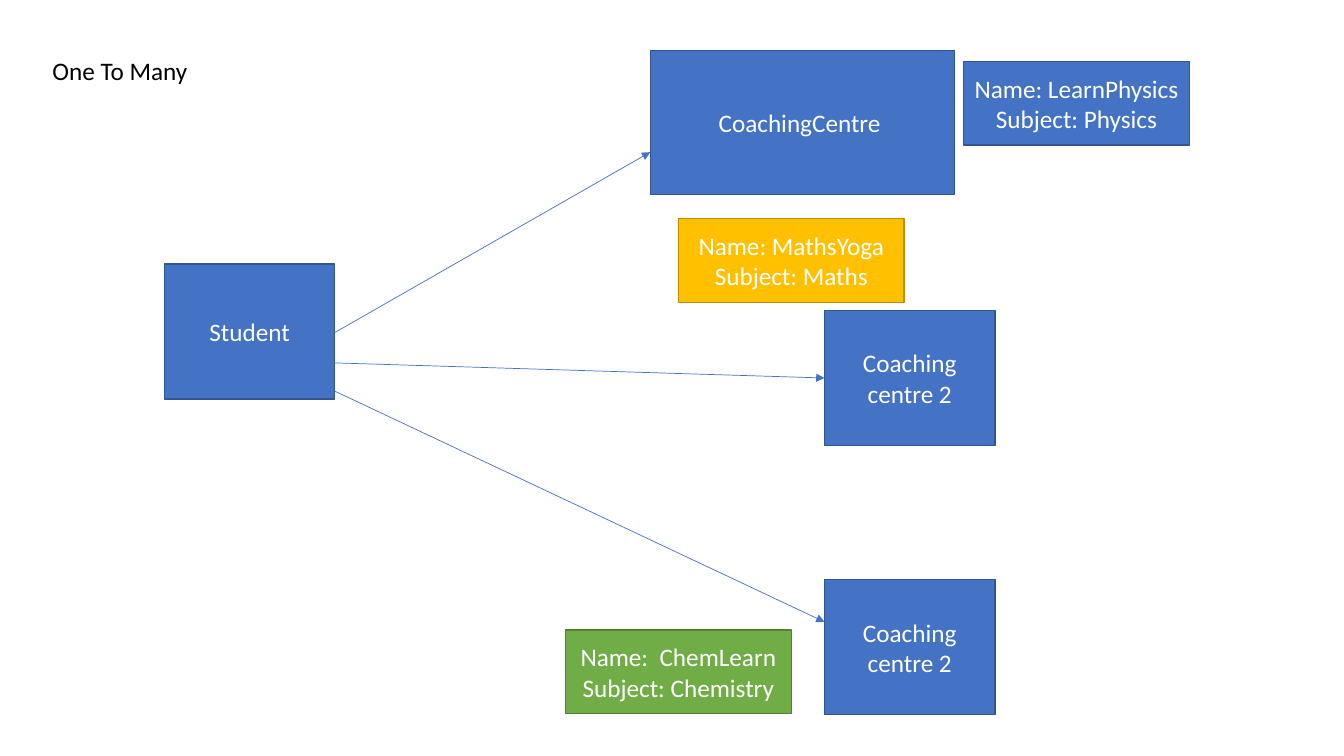
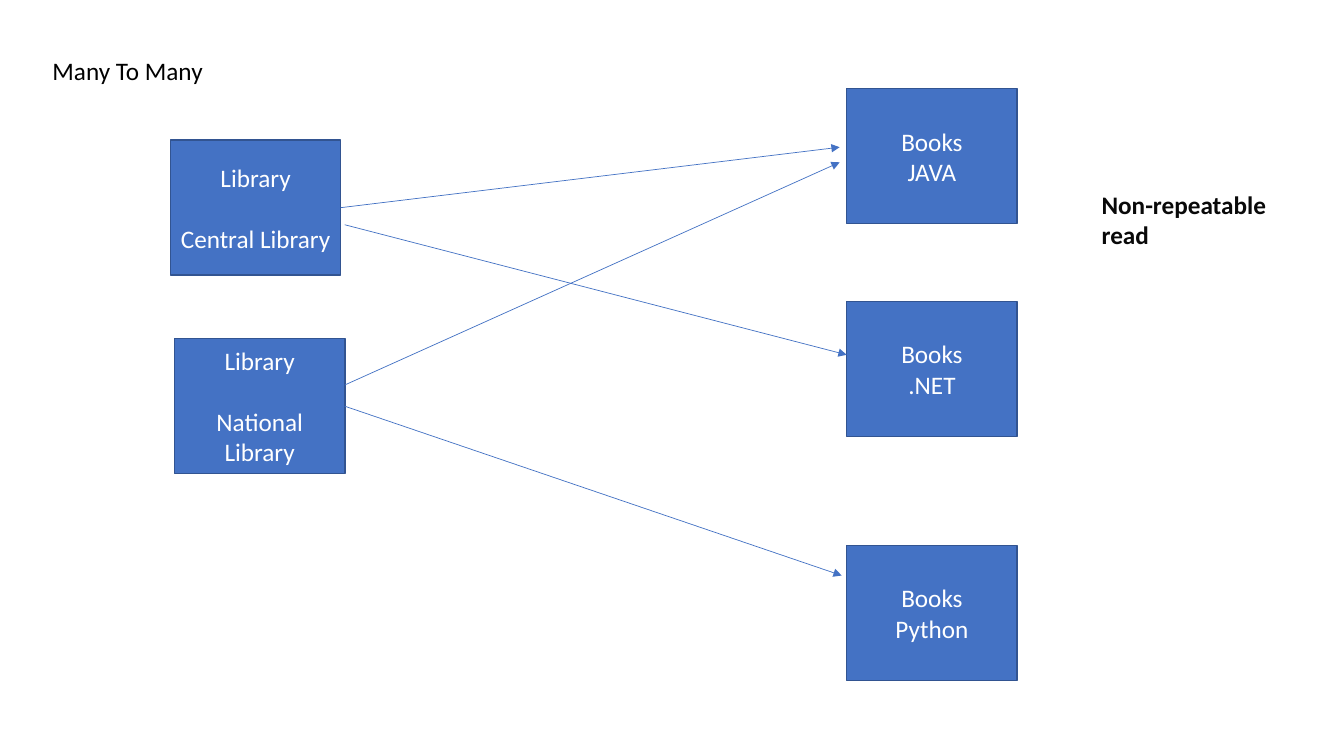
from lxml import etree
from pptx import Presentation
from pptx.dml.color import RGBColor
from pptx.enum.shapes import MSO_CONNECTOR, MSO_SHAPE
from pptx.enum.text import MSO_ANCHOR, MSO_AUTO_SIZE, PP_ALIGN
from pptx.oxml.ns import qn
from pptx.util import Inches, Pt

RECTANGLE = MSO_SHAPE.RECTANGLE
STRAIGHT = MSO_CONNECTOR.STRAIGHT
LEFT, CENTER = PP_ALIGN.LEFT, PP_ALIGN.CENTER
TOP, MIDDLE = MSO_ANCHOR.TOP, MSO_ANCHOR.MIDDLE
NO_FIT = MSO_AUTO_SIZE.NONE
TITLE_ONLY = 5

# Fill and outline of each kind of box
BLUE = ("4472C4", "325491")
GOLD = ("FFC000", "BD8E00")
GREEN = ("70AD47", "538035")

# All places and sizes are percentages of the slide's width and height
ENTITY = (12.68, 17.87)
WIDE_ENTITY = (22.65, 19.07)
TAG = (16.8, 11.07)
TITLE_PLACE, TITLE_SIZE = (3.15, 6.67), (94.6, 5.33)
LINE_GAP = 22


def color(hex_string):
    return RGBColor.from_string(hex_string)


class Diagram:
    text_format = {"name": "Calibri", "size": Pt(18), "bold": False}

    def __init__(self):
        self.deck = Presentation()
        self.deck.slide_width = Inches(13.33)
        self.deck.slide_height = Inches(7.5)
        self.page = None

    def point(self, place):
        """Turn a pair of percentages into slide lengths."""
        across, down = place
        return (round(self.deck.slide_width * across / 100),
                round(self.deck.slide_height * down / 100))

    def fill_text(self, shape, lines, ink, align=LEFT, anchor=TOP, gap=0, **changes):
        frame = shape.text_frame
        frame_format = {"word_wrap": True, "auto_size": NO_FIT, "vertical_anchor": anchor}
        for name, value in frame_format.items():
            setattr(frame, name, value)
        for index, line in enumerate(lines):
            para = frame.add_paragraph() if index else frame.paragraphs[0]
            para.alignment = align
            para.space_before = Pt(gap if index else 0)
            span = para.add_run()
            span.text = line
            for name, value in (self.text_format | changes).items():
                setattr(span.font, name, value)
            span.font.color.rgb = color(ink)

    def new_page(self, title):
        self.page = self.deck.slides.add_slide(self.deck.slide_layouts[TITLE_ONLY])
        heading = self.page.shapes.title
        heading.left, heading.top = self.point(TITLE_PLACE)
        heading.width, heading.height = self.point(TITLE_SIZE)
        self.fill_text(heading, [title], "000000")

    def box(self, place, lines, size=ENTITY, colors=BLUE, gap=0):
        fill, outline = colors
        shape = self.page.shapes.add_shape(RECTANGLE, *self.point(place), *self.point(size))
        shape.shadow.inherit = False
        shape.fill.solid()
        shape.fill.fore_color.rgb = color(fill)
        shape.line.color.rgb = color(outline)
        shape.line.width = Pt(1)
        self.fill_text(shape, lines, "FFFFFF", CENTER, MIDDLE, gap)

    def note(self, place, size, text):
        shape = self.page.shapes.add_textbox(*self.point(place), *self.point(size))
        self.fill_text(shape, [text], "090909", bold=True)

    def arrow(self, start, end):
        connector = self.page.shapes.add_connector(STRAIGHT, *self.point(start), *self.point(end))
        connector.line.color.rgb = color(BLUE[0])
        connector.line.width = Pt(0.5)
        properties = connector.element.spPr
        etree.SubElement(properties.find(qn("a:ln")), qn("a:tailEnd"), type="triangle")
        etree.SubElement(properties, qn("a:effectLst"))


def one_to_many(diagram):
    diagram.new_page("One To Many")
    student_edge, centre_left = 24.9, 61.35
    diagram.box((12.23, 34.93), ["Student"])
    diagram.box((48.38, 6.67), ["CoachingCentre "], WIDE_ENTITY)
    for top in (41.07, 76.67):
        diagram.box((centre_left, top), ["Coaching centre 2"])
    for start, end in ((44, (48.38, 20.13)),
                       (48, (centre_left, 50)),
                       (51.73, (centre_left, 82.27))):
        diagram.arrow((student_edge, start), end)
    for place, name, subject, colors in (
            ((71.7, 8.13), "LearnPhysics", "Physics", BLUE),
            ((50.48, 28.93), "MathsYoga", "Maths", GOLD),
            ((42.08, 83.33), " ChemLearn", "Chemistry", GREEN)):
        diagram.box(place, [f"Name: {name}", f"Subject: {subject}"], TAG, colors)


def many_to_many(diagram):
    diagram.new_page("Many To Many")
    for place, name in (((12.68, 18.53), "Central Library"),
                        ((12.98, 44.8), "National Library")):
        diagram.box(place, ["Library", name], gap=LINE_GAP)
    for top, language in ((11.73, "JAVA"), (39.87, ".NET"), (72.13, "Python")):
        diagram.box((63, top), ["Books", language])
    for start, end in (((25.35, 27.47), (62.48, 19.47)),
                       ((25.65, 29.73), (63, 46.93)),
                       ((25.65, 50.93), (62.48, 21.47)),
                       ((25.65, 53.73), (62.63, 76.13))):
        diagram.arrow(start, end)
    diagram.note((81.23, 24.4), (14.78, 9.47), "Non-repeatable read")


def main():
    diagram = Diagram()
    one_to_many(diagram)
    many_to_many(diagram)
    diagram.deck.save("out.pptx")


if __name__ == "__main__":
    main()
